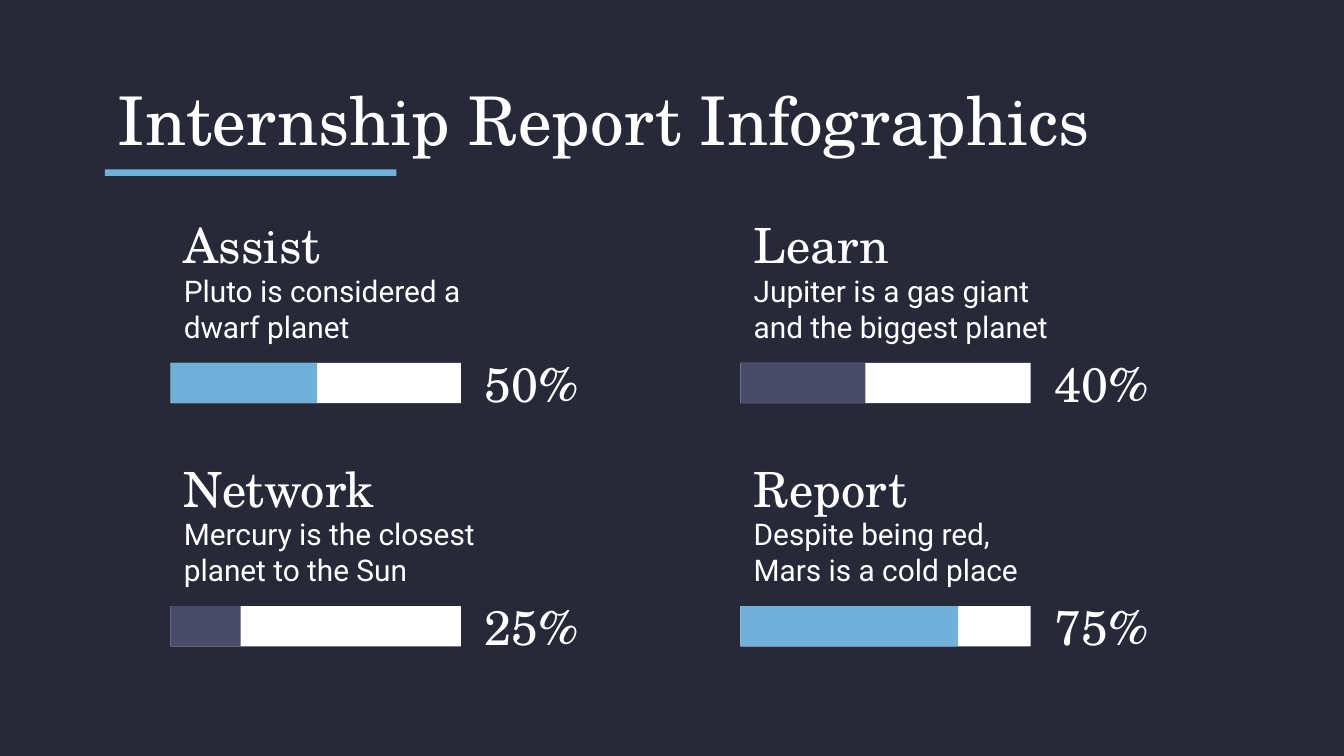
import pptx
import pptx.dml.color
import pptx.enum.shapes
import pptx.enum.text
import pptx.util

RGBColor = pptx.dml.color.RGBColor
NAVY = RGBColor(0x28, 0x29, 0x38)
SKY = RGBColor(0x70, 0xB1, 0xDA)
SLATE = RGBColor(0x48, 0x4C, 0x68)
WHITE = RGBColor(0xFF, 0xFF, 0xFF)

SERIF = "TeX Gyre Schola"
SANS = "Roboto"
MIDDLE = pptx.enum.text.MSO_ANCHOR.MIDDLE
TOP = pptx.enum.text.MSO_ANCHOR.TOP

# A 16:9 slide with a grid of skill cells, in inches
SLIDE_WIDTH = 10
SLIDE_HEIGHT = SLIDE_WIDTH * 9 / 16
TITLE_LEFT = 0.78
GRID_LEFT, GRID_TOP = 1.27, 1.64
COLUMN_STEP, ROW_STEP = 4.24, 1.81
BAR_WIDTH, BAR_HEIGHT, BAR_DROP = 2.16, 0.3, 1.06
TEXT_WIDTH, HEADING_HEIGHT = 2.4, 0.36

# Column, row, heading, description, percentage, filled length, fill colour
SKILLS = [
    (0, 0, "Assist", "Pluto is considered a dwarf planet", "50%", 1.09, SKY),
    (0, 1, "Network", "Mercury is the closest planet to the Sun", "25%", 0.52, SLATE),
    (1, 0, "Learn", "Jupiter is a gas giant and the biggest planet", "40%", 0.93, SLATE),
    (1, 1, "Report", "Despite being red, Mars is a cold place", "75%", 1.62, SKY),
]


def inches(*lengths):
    return [pptx.util.Inches(length) for length in lengths]


def cell_origin(column, row):
    return GRID_LEFT + column * COLUMN_STEP, GRID_TOP + row * ROW_STEP


def add_block(shapes, left, top, width, height, color):
    block = shapes.add_shape(
        pptx.enum.shapes.MSO_SHAPE.RECTANGLE, *inches(left, top, width, height))
    block.shadow.inherit = False
    block.fill.solid()
    block.fill.fore_color.rgb = color
    block.line.fill.background()


def add_text(shapes, left, top, width, height, words, size, font=SERIF, anchor=MIDDLE):
    frame = shapes.add_textbox(*inches(left, top, width, height)).text_frame
    frame.word_wrap = True
    frame.vertical_anchor = anchor
    frame.margin_left = frame.margin_right = pptx.util.Inches(0.1)
    frame.margin_top = frame.margin_bottom = pptx.util.Inches(0.1)
    frame.text = words
    run_font = frame.paragraphs[0].runs[0].font
    run_font.name = font
    run_font.size = pptx.util.Pt(size)
    run_font.color.rgb = WHITE


def add_progress_bar(shapes, column, row, filled, color):
    left, top = cell_origin(column, row)
    add_block(shapes, left, top + BAR_DROP, BAR_WIDTH, BAR_HEIGHT, WHITE)
    add_block(shapes, left, top + BAR_DROP, filled, BAR_HEIGHT, color)


def add_skill_texts(shapes, column, row, heading, description, percentage):
    left, top = cell_origin(column, row)
    labels = shapes.add_group_shape().shapes
    add_text(labels, left, top, TEXT_WIDTH, HEADING_HEIGHT, heading, 26)
    add_text(labels, left, top + 0.29, TEXT_WIDTH, 0.77, description, 16, SANS, TOP)
    add_text(labels, left + 2.24, top + 1.03, 0.98, HEADING_HEIGHT, percentage, 26)


def main():
    deck = pptx.Presentation()
    deck.slide_width, deck.slide_height = inches(SLIDE_WIDTH, SLIDE_HEIGHT)
    slide = deck.slides.add_slide(deck.slide_layouts[6])
    slide.background.fill.solid()
    slide.background.fill.fore_color.rgb = NAVY
    shapes = slide.shapes

    # Title with its underline
    add_block(shapes, TITLE_LEFT, 1.26, 2.17, 0.05, SKY)
    add_text(shapes, TITLE_LEFT, 0.59, SLIDE_WIDTH - 2 * TITLE_LEFT, 0.59,
             "Internship Report Infographics", 36)

    # Progress bars, then their labels
    for column, row, _, _, _, filled, color in SKILLS:
        add_progress_bar(shapes, column, row, filled, color)
    for column, row, heading, description, percentage, _, _ in SKILLS:
        add_skill_texts(shapes, column, row, heading, description, percentage)

    deck.save("out.pptx")


if __name__ == "__main__":
    main()
